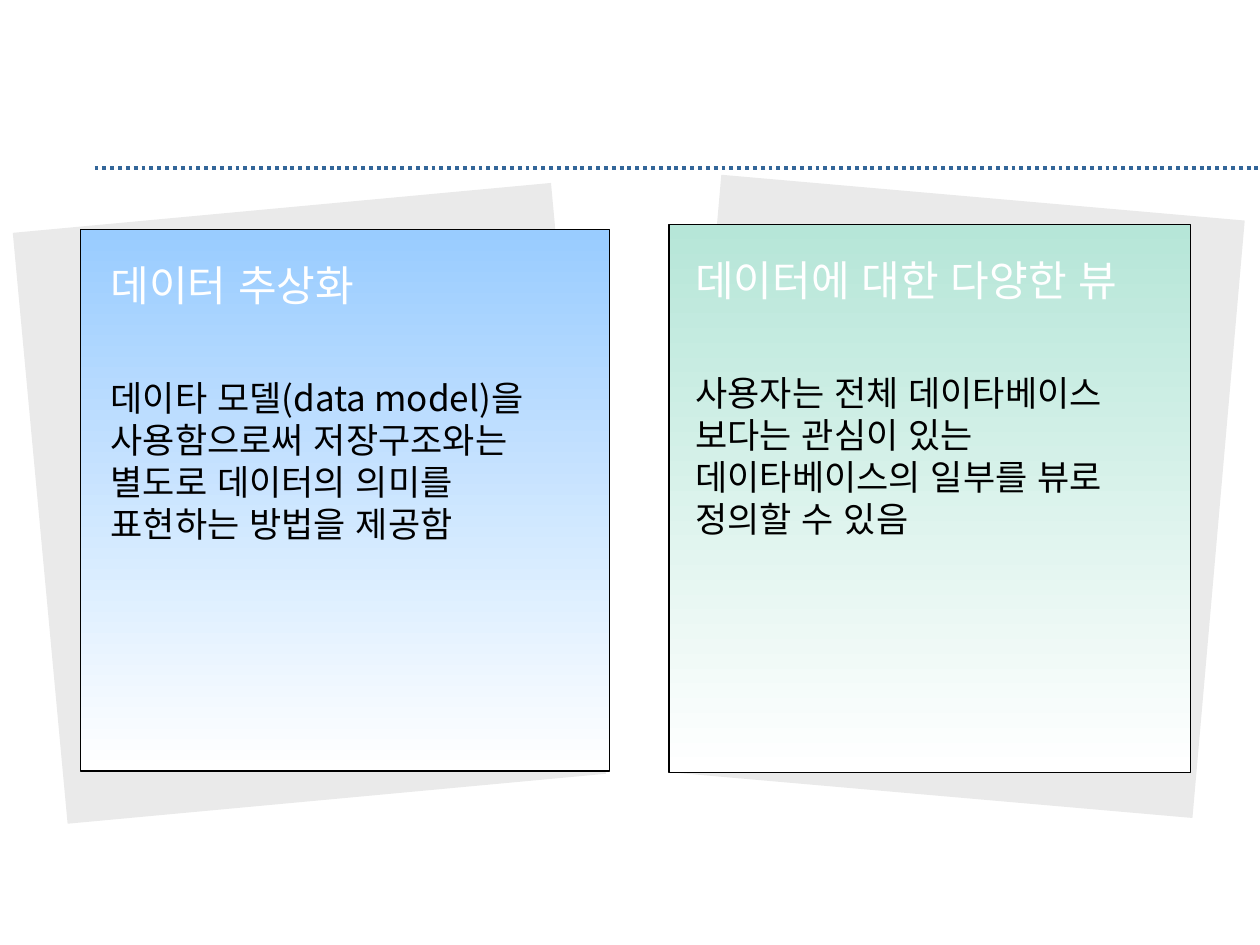
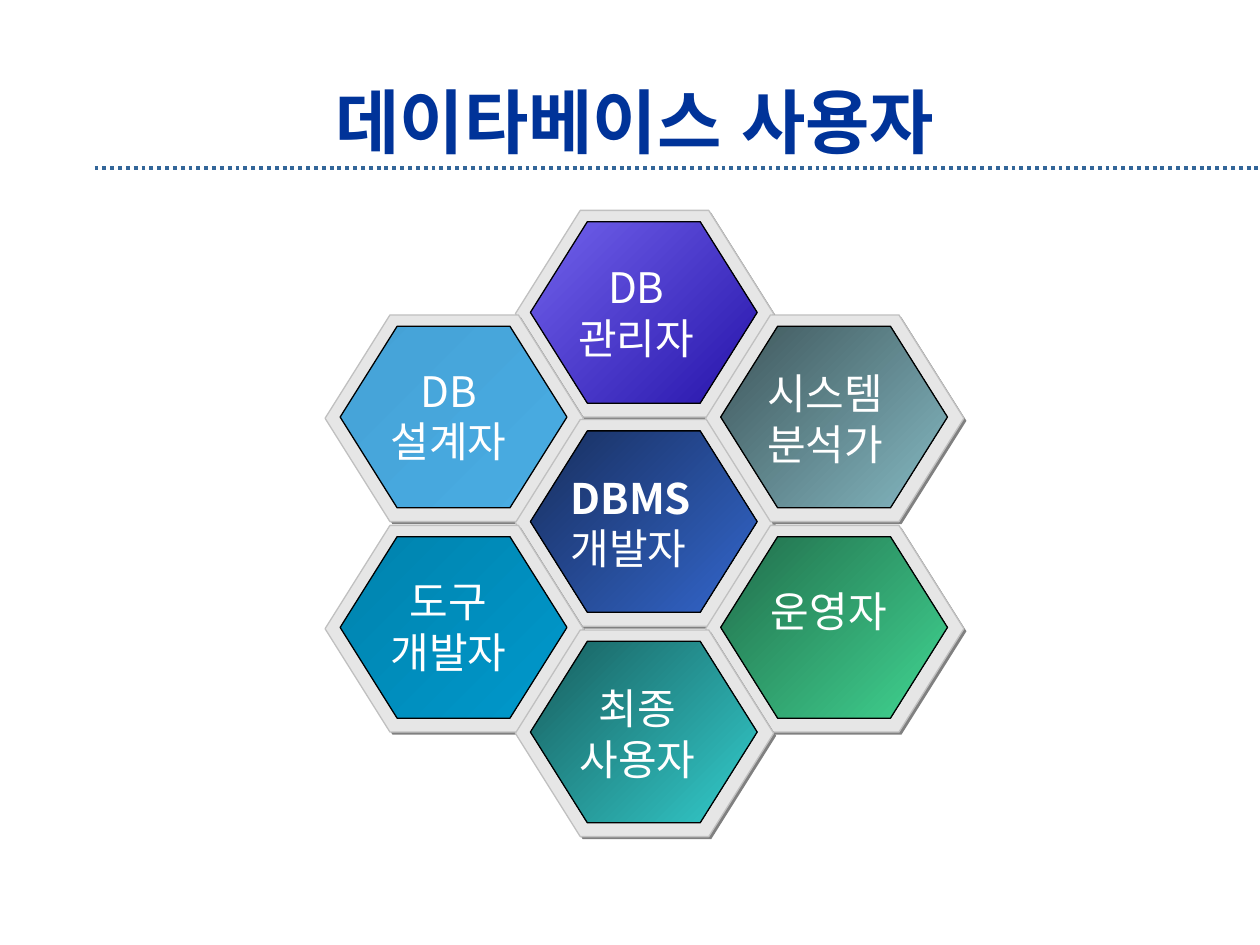
"""Build two slides on database characteristics and database users."""
import pptx
import pptx.dml.color
import pptx.enum.dml
import pptx.enum.lang
import pptx.enum.shapes
import pptx.enum.text
import pptx.oxml
import pptx.oxml.ns
import pptx.util

RGBColor = pptx.dml.color.RGBColor
SHAPE = pptx.enum.shapes.MSO_SHAPE
ALIGN = pptx.enum.text.PP_ALIGN

PX = 9144
FONT = "Noto Sans CJK KR"
LINE_HEIGHT = 1.2
BLACK = RGBColor(0x00, 0x00, 0x00)
WHITE = RGBColor(0xFF, 0xFF, 0xFF)
TITLE_BLUE = RGBColor(0x00, 0x33, 0x99)
RULE_BLUE = RGBColor(0x33, 0x66, 0x99)
BACKING_GRAY = RGBColor(0xEA, 0xEA, 0xEA)
SHADOW_GRAY = RGBColor(0x80, 0x80, 0x80)
RIM_GRAY = RGBColor(0xE6, 0xE6, 0xE6)
RIM_EDGE = RGBColor(0xC0, 0xC0, 0xC0)
SKY = RGBColor(0x99, 0xCC, 0xFF)
MINT = RGBColor(0xB6, 0xE6, 0xD8)
VIOLET = (RGBColor(0x72, 0x62, 0xEC), RGBColor(0x26, 0x14, 0xAA))
LIGHT_BLUE = (RGBColor(0x45, 0xA2, 0xD6), RGBColor(0x49, 0xAC, 0xE3))
NAVY = (RGBColor(0x18, 0x2F, 0x5E), RGBColor(0x33, 0x66, 0xCC))
SLATE = (RGBColor(0x3E, 0x56, 0x5A), RGBColor(0x85, 0xB9, 0xC3))
GREEN = (RGBColor(0x21, 0x6D, 0x4B), RGBColor(0x41, 0xD5, 0x92))
CYAN = (RGBColor(0x00, 0x82, 0xAD), RGBColor(0x00, 0x99, 0xCC))
TEAL = (RGBColor(0x18, 0x5E, 0x5E), RGBColor(0x33, 0xCC, 0xCC))


def write(frame, text, size=24, color=WHITE, bold=False, align=ALIGN.LEFT, before=0):
    paragraph = frame.paragraphs[0]
    if paragraph.runs:
        paragraph = frame.add_paragraph()
    paragraph.alignment = align
    paragraph.line_spacing = pptx.util.Pt(size * LINE_HEIGHT)
    paragraph.space_before = pptx.util.Pt(before)
    run = paragraph.add_run()
    run.text = text
    run.font.size = pptx.util.Pt(size)
    run.font.bold = bold
    run.font.color.rgb = color
    run.font.name = FONT
    run.font.language_id = pptx.enum.lang.MSO_LANGUAGE_ID.KOREAN
    east_asian = pptx.oxml.parse_xml(
        f'<a:ea {pptx.oxml.ns.nsdecls("a")} typeface="{FONT}"/>')
    run.font._element.append(east_asian)


def draw(slide, kind, box, colors, angle=0, edge=None, rotation=0, adjustments=()):
    shape = slide.shapes.add_shape(kind, *[value * PX for value in box])
    shape.shadow.inherit = False
    shape.rotation = rotation
    for index, value in enumerate(adjustments):
        shape.adjustments[index] = value
    if len(colors) == 1:
        shape.fill.solid()
        shape.fill.fore_color.rgb = colors[0]
    else:
        shape.fill.gradient()
        shape.fill.gradient_angle = angle
        for stop, color in zip(shape.fill.gradient_stops, colors):
            stop.color.rgb = color
    if edge is None:
        shape.line.fill.background()
    else:
        shape.line.color.rgb = edge
        shape.line.width = pptx.util.Pt(0.75)


presentation = pptx.Presentation()
presentation.slide_width = 1000 * PX
presentation.slide_height = 750 * PX
blank = presentation.slide_layouts[6]
features = presentation.slides.add_slide(blank)
users = presentation.slides.add_slide(blank)

for slide in (features, users):
    rule = slide.shapes.add_connector(
        pptx.enum.shapes.MSO_CONNECTOR.STRAIGHT, 75 * PX, 133 * PX, 1000 * PX, 133 * PX)
    rule.line.color.rgb = RULE_BLUE
    rule.line.width = pptx.util.Pt(2.25)
    rule.line.dash_style = pptx.enum.dml.MSO_LINE.ROUND_DOT
    rule._element.spPr.append(
        pptx.oxml.parse_xml(f'<a:effectLst {pptx.oxml.ns.nsdecls("a")}/>'))

cards = [
    ((31, 164, 429, 471), 354.7, (64, 182, 420, 430), SKY, (78, 201, 397, 237),
     "데이터 추상화",
     "데이타 모델(data model)을 사용함으로써 저장구조와는 별도로 "
     "데이터의 의미를 표현하는 방법을 제공함"),
    ((551, 156, 417, 476), 5, (531, 178, 414, 435), MINT, (542, 197, 419, 237),
     "데이터에 대한 다양한 뷰",
     "사용자는 전체 데이타베이스 보다는 관심이 있는 "
     "데이타베이스의 일부를 뷰로 정의할 수 있음"),
]
for backing, tilt, panel, tint, text_area, heading, body in cards:
    draw(features, SHAPE.RECTANGLE, backing, [BACKING_GRAY], rotation=tilt)
    draw(features, SHAPE.RECTANGLE, panel, [tint, WHITE], angle=270, edge=BLACK)
    frame = features.shapes.add_textbox(*[value * PX for value in text_area]).text_frame
    frame.word_wrap = True
    write(frame, heading)
    write(frame, body, size=20, color=BLACK, before=38)

title = users.shapes.add_textbox(75 * PX, 67 * PX, 858 * PX, 58 * PX).text_frame
title.word_wrap = True
title.margin_top = title.margin_bottom = 0
title.vertical_anchor = pptx.enum.text.MSO_ANCHOR.MIDDLE
write(title, "데이타베이스 사용자", size=40, color=TITLE_BLUE, bold=True, align=ALIGN.CENTER)

roles = [
    (1, 0, VIOLET, ["DB", "관리자"], ALIGN.CENTER, (38, 36, 116, 90)),
    (0, 1, LIGHT_BLUE, ["DB", "설계자"], ALIGN.CENTER, (40, 35, 116, 90)),
    (1, 2, NAVY, ["DBMS", "개발자"], ALIGN.LEFT, (34, 37, 119, 90)),
    (2, 1, SLATE, ["시스템", "분석가"], ALIGN.LEFT, (39, 37, 116, 90)),
    (2, 3, GREEN, ["운영자"], ALIGN.LEFT, (42, 43, 116, 50)),
    (0, 3, CYAN, ["도구", "개발자"], ALIGN.CENTER, (40, 35, 116, 90)),
    (1, 4, TEAL, ["최종", "사용자"], ALIGN.CENTER, (39, 37, 116, 90)),
]
for column, row, shades, label, align, (dx, dy, width, height) in roles:
    left = 258 + 151 * column
    top = 167 + 250 * row // 3
    hexagon = {"kind": SHAPE.HEXAGON, "adjustments": (0.314, 1.155)}
    draw(users, box=(left + 2, top + 2, 205, 164), colors=[SHADOW_GRAY], **hexagon)
    draw(users, box=(left, top, 205, 164), colors=[RIM_GRAY], edge=RIM_EDGE, **hexagon)
    draw(users, box=(left + 12, top + 9, 180, 144), colors=shades, angle=315,
         edge=BLACK, **hexagon)
    label_box = users.shapes.add_textbox(
        (left + dx) * PX, (top + dy) * PX, width * PX, height * PX)
    label_box.text_frame.word_wrap = False
    for line in label:
        write(label_box.text_frame, line, align=align, bold=line == "DBMS")

presentation.save("out.pptx")
